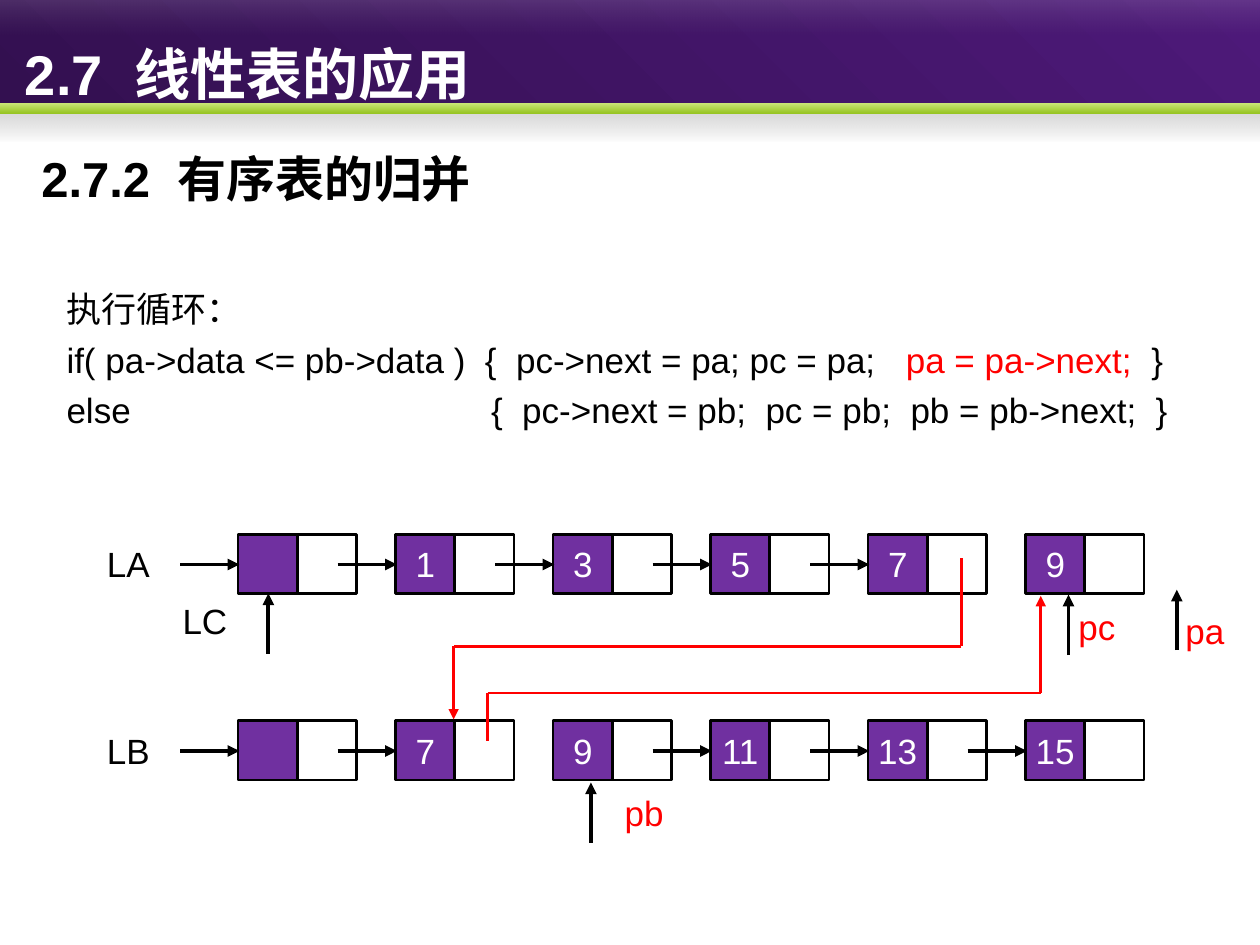
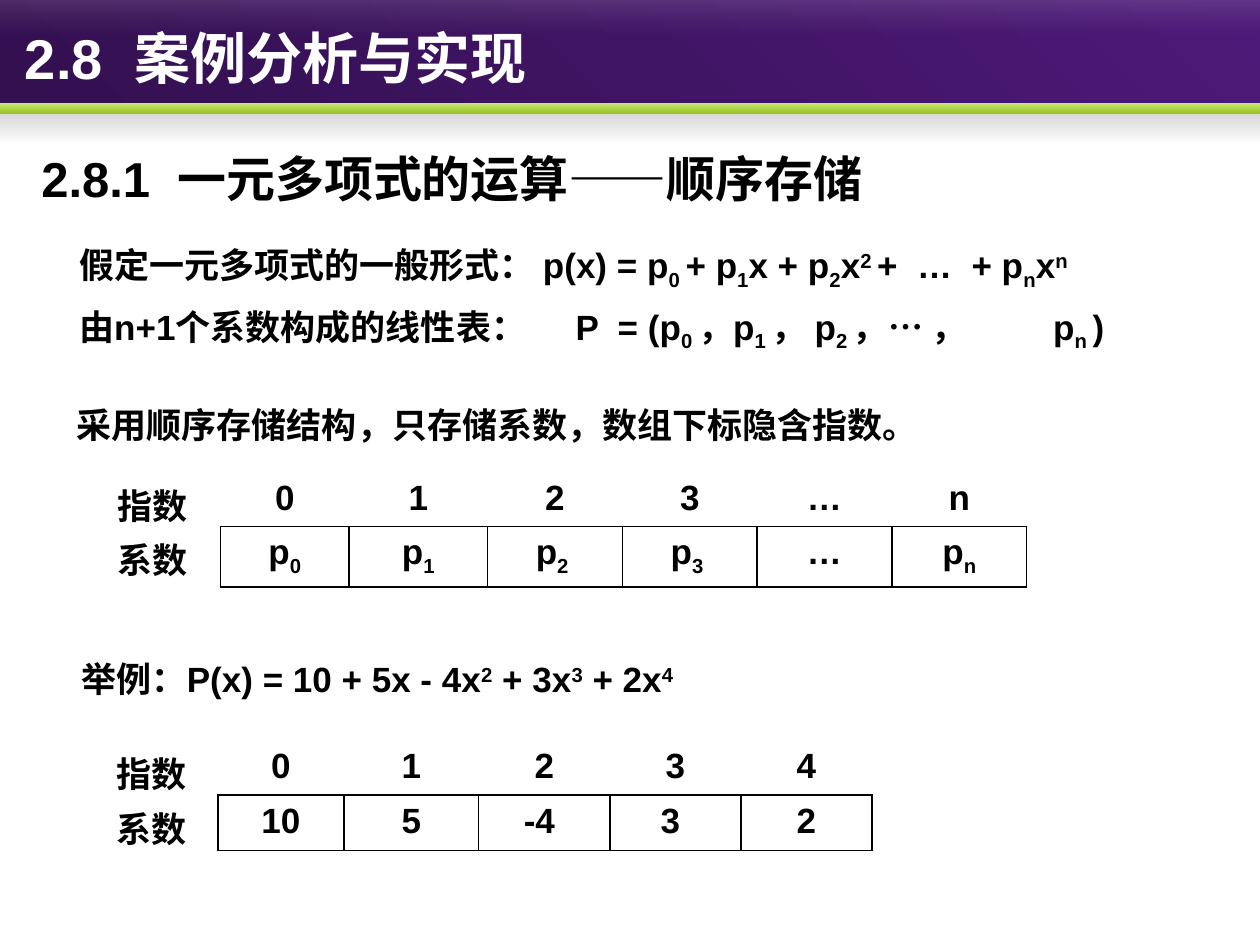
from lxml import etree
from pptx import Presentation
from pptx.dml.color import RGBColor
from pptx.enum import shapes, text
from pptx.oxml.ns import qn
from pptx.util import Inches, Pt

rgb = RGBColor.from_string
BLACK, WHITE, RED, PURPLE = "000000", "FFFFFF", "FF0000", "7030A0"
BASELINES = {"_": "-25000", "^": "30000"}


def write(frame, lines, size=20, color=BLACK, bold=False, align=None, font="Arial",
          spacing=None, before=0, tabs=()):
    frame.word_wrap = True
    for number, line in enumerate(lines):
        paragraph = frame.paragraphs[0] if number == 0 else frame.add_paragraph()
        if align:
            paragraph.alignment = align
        if spacing:
            paragraph.line_spacing = spacing
        if number and before:
            paragraph.space_before = Pt(before)
        if "\t" in line:
            stops = etree.SubElement(paragraph._p.get_or_add_pPr(), qn("a:tabLst"))
            for stop in tabs:
                etree.SubElement(stops, qn("a:tab"), pos=str(Inches(stop)), algn="l")
        paragraph.font.name = font
        paragraph.font.size = Pt(size)
        paragraph.font.bold = bold
        paragraph.font.color.rgb = rgb(color)
        for piece in line.split("|"):
            run = paragraph.add_run()
            run.text = piece.lstrip("_^!")
            if piece[0] in BASELINES:
                run.font._element.set("baseline", BASELINES[piece[0]])
            elif piece[0] == "!":
                run.font.color.rgb = rgb(RED)


def draw_line(slide, x1, y1, x2, y2, color=BLACK, width=2.25, head=True):
    line = slide.shapes.add_connector(shapes.MSO_CONNECTOR.STRAIGHT,
                                      Inches(x1), Inches(y1), Inches(x2), Inches(y2))
    line.line.color.rgb = rgb(color)
    line.line.width = Pt(width)
    if head:
        etree.SubElement(line.line._get_or_add_ln(), qn("a:tailEnd"), type="triangle")
    etree.SubElement(line._element.spPr, qn("a:effectLst"))


deck = Presentation()
deck.slide_width, deck.slide_height = Inches(10), Inches(7.5)

bands = [
    (0, 0.9, 45, ("331050", 100), ("4D1979", 100)),
    (0.88, 0.24, 270, ("808080", 33), ("5C5C5C", 0)),
    (0.82, 0.08, 270, ("C9E576", 100), ("97C523", 100)),
    (0, 0.28, 270, ("FFFFFF", 13), ("B6B6B6", 0)),
]
headings = [
    ("2.7  线性表的应用", 1.5, "2.7.2  有序表的归并"),
    ("2.8  案例分析与实现", 1, "2.8.1  一元多项式的运算——顺序存储"),
]
for chapter, chapter_spacing, section in headings:
    slide = deck.slides.add_slide(deck.slide_layouts[6])
    for top, height, angle, *colors in bands:
        band = slide.shapes.add_shape(shapes.MSO_SHAPE.RECTANGLE, 0, Inches(top),
                                      Inches(10), Inches(height))
        band.shadow.inherit = False
        band.line.fill.background()
        band.fill.gradient()
        band.fill.gradient_angle = angle
        for stop, (color, _) in zip(band.fill.gradient_stops, colors):
            stop.color.rgb = rgb(color)
        for node, (_, opacity) in zip(list(band._element.iter(qn("a:srgbClr"))), colors):
            if opacity < 100:
                etree.SubElement(node, qn("a:alpha"), val=str(opacity * 1000))
    title = slide.shapes.add_textbox(Inches(0.1), 0, Inches(9.9), Inches(0.9)).text_frame
    title.vertical_anchor = text.MSO_ANCHOR.MIDDLE
    write(title, [chapter], 32, WHITE, True, spacing=chapter_spacing)
    subtitle = slide.shapes.add_textbox(Inches(0.23), Inches(1.13), Inches(9), Inches(0.57))
    write(subtitle.text_frame, [section], 28, bold=True)

merging, polynomial = deck.slides

loop_code = merging.shapes.add_textbox(Inches(0.43), Inches(2.18),
                                       Inches(9.2), Inches(1.34)).text_frame
loop_code.vertical_anchor = text.MSO_ANCHOR.MIDDLE
write(loop_code, [
    "执行循环：",
    "if( pa->data <= pb->data )  {  pc->next = pa; pc = pa;   |!pa = pa->next;  |}",
    "else\t{  pc->next = pb;  pc = pb;  pb = pb->next;  }",
], before=5, tabs=[3.37])

CELL, PITCH = 0.47, 1.25
linked_lists = [
    (4.24, ["", "1", "3", "5", "7", "9"], 5),
    (5.72, ["", "7", "9", "11", "13", "15"], 2),
]
for top, values, unlinked in linked_lists:
    for index, value in enumerate(values):
        left = 1.89 + index * PITCH
        for part in range(2):
            cell = merging.shapes.add_shape(
                shapes.MSO_SHAPE.RECTANGLE, Inches(left + part * CELL), Inches(top),
                Inches(CELL), Inches(CELL))
            cell.shadow.inherit = False
            cell.line.color.rgb = rgb(BLACK)
            cell.line.width = Pt(1.5)
            if part:
                cell.fill.background()
                continue
            cell.fill.solid()
            cell.fill.fore_color.rgb = rgb(PURPLE)
            if value:
                cell.text_frame.margin_left = cell.text_frame.margin_right = 0
                write(cell.text_frame, [value], color=WHITE, align=text.PP_ALIGN.CENTER)
        if index != unlinked:
            draw_line(merging, left - 0.46, top + 0.24, left + 0.01, top + 0.24)

pointer_labels = [
    ("LA", 0.75, 4.26, BLACK), ("LB", 0.75, 5.74, BLACK), ("LC", 1.35, 4.71, BLACK),
    ("pb", 4.86, 6.23, RED), ("pa", 9.31, 4.79, RED), ("pc", 8.46, 4.76, RED),
]
for label, left, top, color in pointer_labels:
    box = merging.shapes.add_textbox(Inches(left), Inches(top), Inches(0.62), Inches(0.44))
    write(box.text_frame, [label], color=color)

for x, tip in [(8.48, 4.72), (2.13, 4.71), (4.69, 6.21), (9.34, 4.68)]:
    draw_line(merging, x, tip + 0.48, x, tip)

relinks = [
    [(7.63, 4.43), (7.63, 5.13), (3.6, 5.13), (3.6, 5.71)],
    [(3.87, 5.88), (3.87, 5.5), (8.26, 5.5), (8.26, 4.73)],
]
for route in relinks:
    for start, end in zip(route, route[1:]):
        draw_line(merging, *start, *end, RED, 1.5, end == route[-1])

general_form = polynomial.shapes.add_textbox(Inches(0.53), Inches(1.78),
                                             Inches(8.9), Inches(1.14))
write(general_form.text_frame, [
    "假定一元多项式的一般形式： p(x) = p|_0 |+ p|_1|x + p|_2|x|^2 |+  …  + p|_n|x|^n",
    "由n+1个系数构成的线性表：\tP  = (p|_0 |，p|_1 |， p|_2 |，… ，\tp|_n |)",
], bold=True, spacing=Pt(35), tabs=[3.94, 7.73])

statements = [
    (0.51, 3.15, "采用顺序存储结构，只存储系数，数组下标隐含指数。", "Noto Sans CJK SC"),
    (0.55, 5.17, "举例：P(x) = 10 + 5x - 4x|^2| + 3x|^3| + 2x|^4", "Arial"),
]
for left, top, statement, font in statements:
    box = polynomial.shapes.add_textbox(Inches(left), Inches(top), Inches(7.5), Inches(0.44))
    write(box.text_frame, [statement], bold=True, font=font)

coefficient_tables = [
    (3.75, [1.08, 1.02, 1.1, 1.07, 1.07, 1.07, 1.07], [0.43, 0.48],
     [["指数", "0", "1", "2", "3", "…", "n"],
      ["系数", "p|_0", "p|_1", "p|_2 ", "p|_3 ", "…", "p|_n"]]),
    (5.88, [1.06, 1, 1.07, 1.04, 1.04, 1.04], [0.43, 0.44],
     [["指数", "0", "1", "2", "3", "4"],
      ["系数", "10", "5", "-4 ", "3 ", "2"]]),
]
for top, widths, heights, rows in coefficient_tables:
    table = polynomial.shapes.add_table(
        len(rows), len(widths), Inches(0.67), Inches(top),
        Inches(sum(widths)), Inches(sum(heights))).table
    table.first_row = table.horz_banding = False
    for column, width in zip(table.columns, widths):
        column.width = Inches(width)
    for r, row in enumerate(rows):
        table.rows[r].height = Inches(heights[r])
        for c, value in enumerate(row):
            cell = table.cell(r, c)
            cell.margin_bottom = 0
            write(cell.text_frame, [value], bold=True, align=text.PP_ALIGN.CENTER)
            if c:
                ruled = "LRTB" if r else "B"
            else:
                ruled = "R" if r else ""
            for side in "LRTB":
                border = etree.SubElement(cell._tc.get_or_add_tcPr(), qn("a:ln" + side),
                                          w=str(Pt(1)))
                if side in ruled:
                    ink = etree.SubElement(border, qn("a:solidFill"))
                    etree.SubElement(ink, qn("a:srgbClr"), val=BLACK)
                else:
                    etree.SubElement(border, qn("a:noFill"))
            cell.fill.background()

deck.save("out.pptx")
